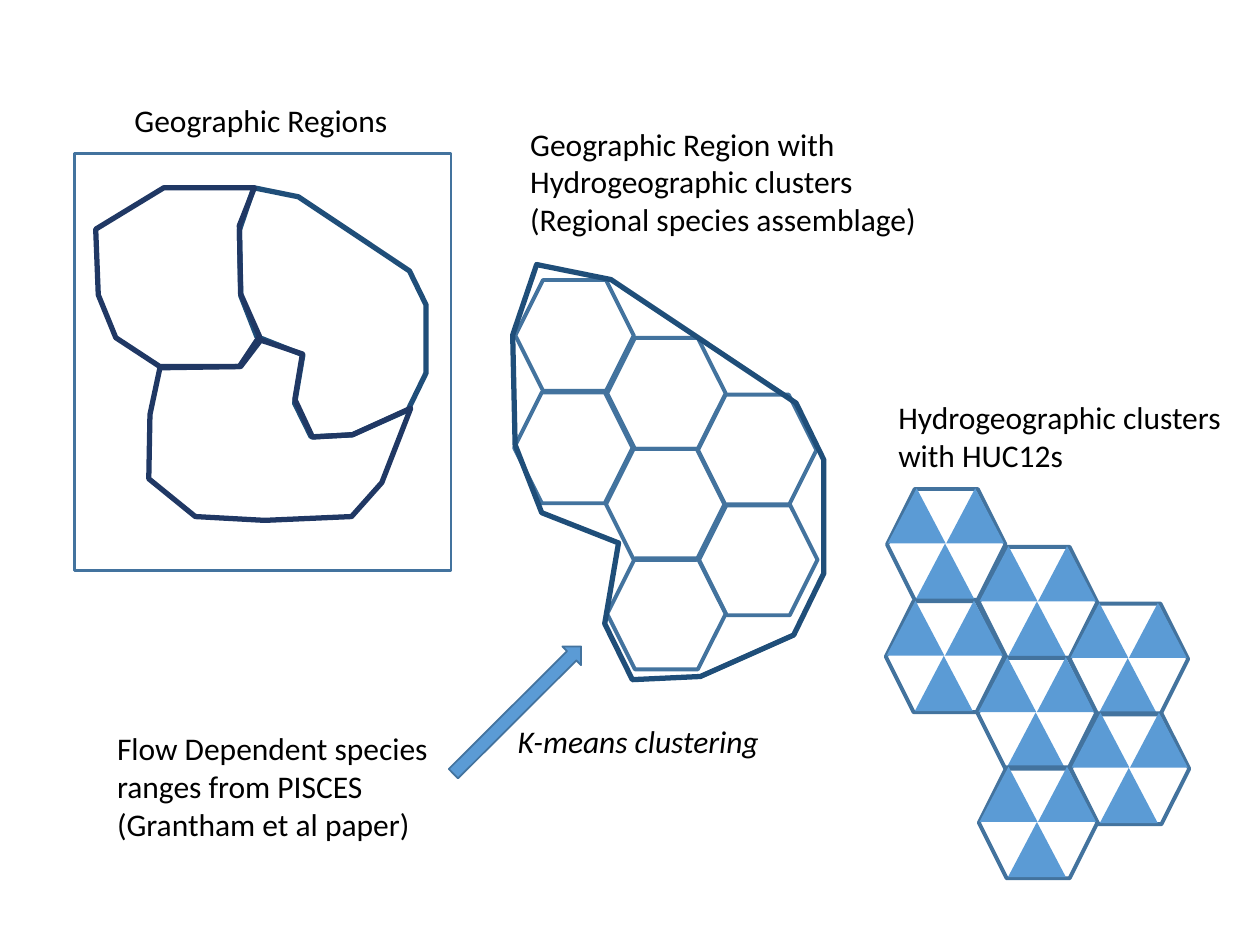
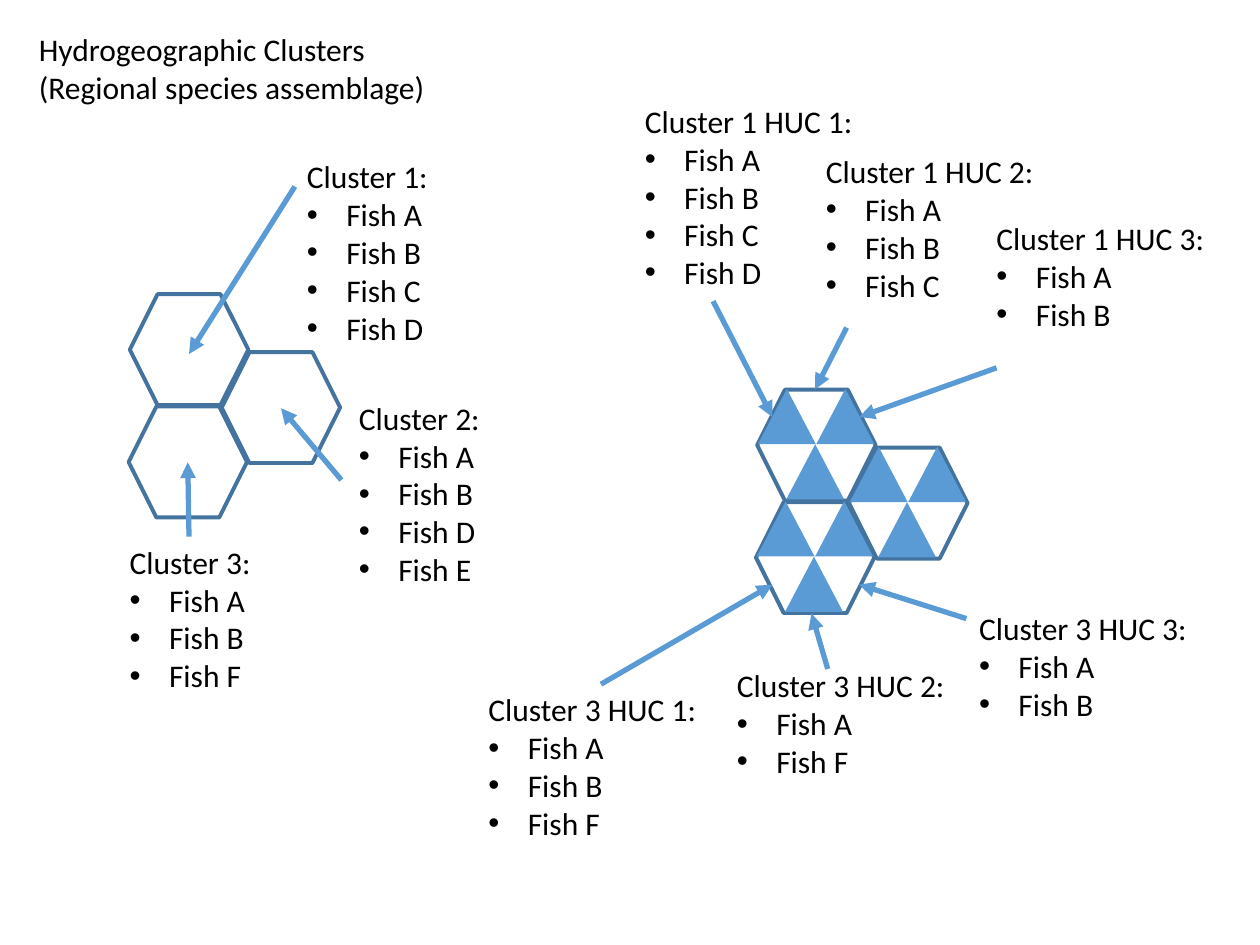
from lxml.etree import SubElement
from pptx import Presentation
from pptx.dml.color import RGBColor
from pptx.enum.shapes import MSO_CONNECTOR as CONNECTOR, MSO_SHAPE as SHAPE
from pptx.enum.text import MSO_AUTO_SIZE as AUTO_SIZE, PP_ALIGN as ALIGN
from pptx.oxml.ns import qn
from pptx.util import Pt

# Shared look
BLACK = RGBColor(0x00, 0x00, 0x00)
BLUE = RGBColor(0x5B, 0x9B, 0xD5)
STEEL = RGBColor(0x43, 0x73, 0x9E)
DEEP = RGBColor(0x1F, 0x4E, 0x79)
NAVY = RGBColor(0x20, 0x38, 0x64)
FONT = {"name": "Calibri", "size": Pt(18)}
BULLET_INDENT = Pt(22.5)


def paint(shape, fill=None, line=None, width=0):
    shape.shadow.inherit = False
    if fill is None:
        shape.fill.background()
    else:
        shape.fill.solid()
        shape.fill.fore_color.rgb = fill
    if line is None:
        shape.line.fill.background()
    else:
        shape.line.color.rgb = line
        shape.line.width = Pt(width)


def write(slide, box, lines, bullets=(), wrap=False, italic=False):
    frame = slide.shapes.add_textbox(*map(Pt, box)).text_frame
    frame.word_wrap = wrap
    frame.auto_size = AUTO_SIZE.SHAPE_TO_FIT_TEXT
    for i, words in enumerate([*lines, *bullets]):
        paragraph = frame.paragraphs[0] if i == 0 else frame.add_paragraph()
        paragraph.alignment = ALIGN.LEFT
        run = paragraph.add_run()
        run.text = words
        for key, value in FONT.items():
            setattr(run.font, key, value)
        run.font.italic = italic
        run.font.color.rgb = BLACK
        if i >= len(lines):
            props = paragraph._p.get_or_add_pPr()
            props.set("marL", str(BULLET_INDENT))
            props.set("indent", str(-BULLET_INDENT))
            SubElement(props, qn("a:buFont"), typeface="Arial")
            SubElement(props, qn("a:buChar"), char="•")


prs = Presentation()
prs.slide_width, prs.slide_height = Pt(720), Pt(540)
regions, assemblages = [prs.slides.add_slide(prs.slide_layouts[6]) for _ in range(2)]

# Frame around the geographic regions
frame_box = regions.shapes.add_shape(SHAPE.RECTANGLE, Pt(42.5), Pt(87.8), Pt(215.3), Pt(238.3))
paint(frame_box, line=STEEL, width=1.5)

# Clusters: hexagons in a honeycomb, some split into HUC triangles
HONEYCOMB = [(0, 0), (52.5, 33.1), (-0.7, 64.2), (51.8, 96.5),
             (104.4, 65.5), (105, 128.2), (52.5, 159.1)]
HUCS = [(33.8, -0.4), (0.4, -0.4), (16.6, 31.2)]
honeycombs = [  # slide, left, top, number of clusters, split into HUCs
    (regions, 294.5, 160, 7, False),
    (regions, 506.9, 279.4, 7, True),
    (assemblages, 74.2, 168.1, 3, False),
    (assemblages, 432.7, 222.7, 3, True),
]
for slide, left, top, count, split in honeycombs:
    for dx, dy in HONEYCOMB[:count]:
        x, y = left + dx, top + dy
        cluster = slide.shapes.add_shape(SHAPE.HEXAGON, Pt(x), Pt(y), Pt(67.7), Pt(63.4))
        paint(cluster, line=STEEL, width=2.25)
        for huc_x, huc_y in HUCS if split else []:
            huc = slide.shapes.add_shape(SHAPE.ISOSCELES_TRIANGLE, Pt(x + huc_x), Pt(y + huc_y),
                                         Pt(33.1), Pt(31.5))
            paint(huc, fill=BLUE)

# Region outlines; the eastern one appears enlarged around its clusters
EAST = [(13.7, 0), (56.2, 8.6), (162, 79.2), (177.8, 111.6), (177.8, 176.4),
        (160.6, 211.7), (107.3, 235.4), (68.4, 237.2), (52.6, 205.2),
        (60.5, 159.1), (16.6, 141.8), (1.4, 103), (0, 40.3)]
WEST = [(145.4, 107.3), (93.6, 107.3), (54.7, 131), (56.2, 168.5), (66.2, 193),
        (91.4, 209.5), (136.8, 209.5), (148.3, 192.2), (137.5, 167.8), (136.8, 128.9)]
SOUTH = [(91.4, 210.2), (85.7, 236.9), (85, 273.6), (111.6, 295.2), (151.2, 297.4),
         (200.9, 295.2), (218.2, 275.8), (234.7, 233.3), (201.6, 248.4), (178.6, 249.8),
         (168.5, 228.2), (172.8, 202.3), (149, 194.4), (137.5, 209.5)]
outlines = [  # corners, left, top, scale, colour
    (EAST, 293, 151.2, 1, DEEP),
    (EAST, 136.8, 107.3, 0.6, DEEP),
    (WEST, 0, 0, 1, NAVY),
    (SOUTH, 0, 0, 1, NAVY),
]
for corners, left, top, scale, colour in outlines:
    points = [(Pt(left + x * scale), Pt(top + y * scale)) for x, y in corners]
    builder = regions.shapes.build_freeform(*points[0])
    builder.add_line_segments(points[1:], close=True)
    paint(builder.convert_to_shape(), line=colour, width=3)

# Clustering arrow
clustering = regions.shapes.add_shape(SHAPE.RIGHT_ARROW, Pt(244.1), Pt(398.2), Pt(103), Pt(15.1))
clustering.rotation = 315.1
paint(clustering, fill=BLUE, line=STEEL, width=1)

# Captions
write(regions, (69.8, 54, 160.6, 29), ["Geographic Regions"])
write(regions, (295.9, 67.7, 237.6, 72.7),
      ["Geographic Region with", "Hydrogeographic clusters", "(Regional species assemblage)"])
write(regions, (506.2, 223.9, 205.2, 51), ["Hydrogeographic clusters", "with HUC12s"])
write(regions, (59.8, 413.3, 198.7, 72.7),
      ["Flow Dependent species", "ranges from PISCES", "(Grantham et al paper)"])
write(regions, (288.7, 409, 154.8, 29), ["K-means clustering"], italic=True)
write(assemblages, (15.1, 13.7, 237.6, 51),
      ["Hydrogeographic Clusters", "(Regional species assemblage)"])

# Fish found in each cluster and HUC
fish_lists = [  # heading, left, top, width, fish
    ("Cluster 1:", 168.3, 86.4, 90.7, "ABCD"),
    ("Cluster 2:", 198, 224.3, 97.2, "ABDE"),
    ("Cluster 3:", 67, 306.7, 101.5, "ABF"),
    ("Cluster 1 HUC 1:", 361.4, 54.7, 143.3, "ABCD"),
    ("Cluster 1 HUC 2:", 464.8, 83.5, 143.3, "ABC"),
    ("Cluster 1 HUC 3:", 562.3, 121.7, 143.3, "AB"),
    ("Cluster 3 HUC 1:", 272, 391, 143.3, "ABF"),
    ("Cluster 3 HUC 2:", 414, 377.3, 143.3, "AF"),
    ("Cluster 3 HUC 3:", 552.4, 344.5, 143.3, "AB"),
]
for heading, left, top, width, fish in fish_lists:
    height = 7.2 + 21.8 * (1 + len(fish))
    write(assemblages, (left, top, width, height), [heading],
          [f"Fish {letter}" for letter in fish], wrap=True)

# Pointers from each list to its cluster or HUC
pointers = [
    (407.5, 172.1, 441.4, 238.3), (483.8, 187.2, 465.8, 222.5), (569.5, 210.2, 491, 238.3),
    (168.5, 106.6, 108, 202.3), (195.1, 274.3, 160.6, 233.3), (108, 306.7, 107.3, 264.2),
    (552.2, 353.5, 491, 334.1), (343.4, 391, 441.4, 334.1), (473, 382.3, 463.7, 350.6),
]
for ends in pointers:
    pointer = assemblages.shapes.add_connector(CONNECTOR.STRAIGHT, *map(Pt, ends))
    pointer.line.color.rgb = BLUE
    pointer.line.width = Pt(3)
    SubElement(pointer.line._get_or_add_ln(), qn("a:tailEnd"), type="triangle")
    SubElement(pointer._element.spPr, qn("a:effectLst"))

prs.save("out.pptx")
